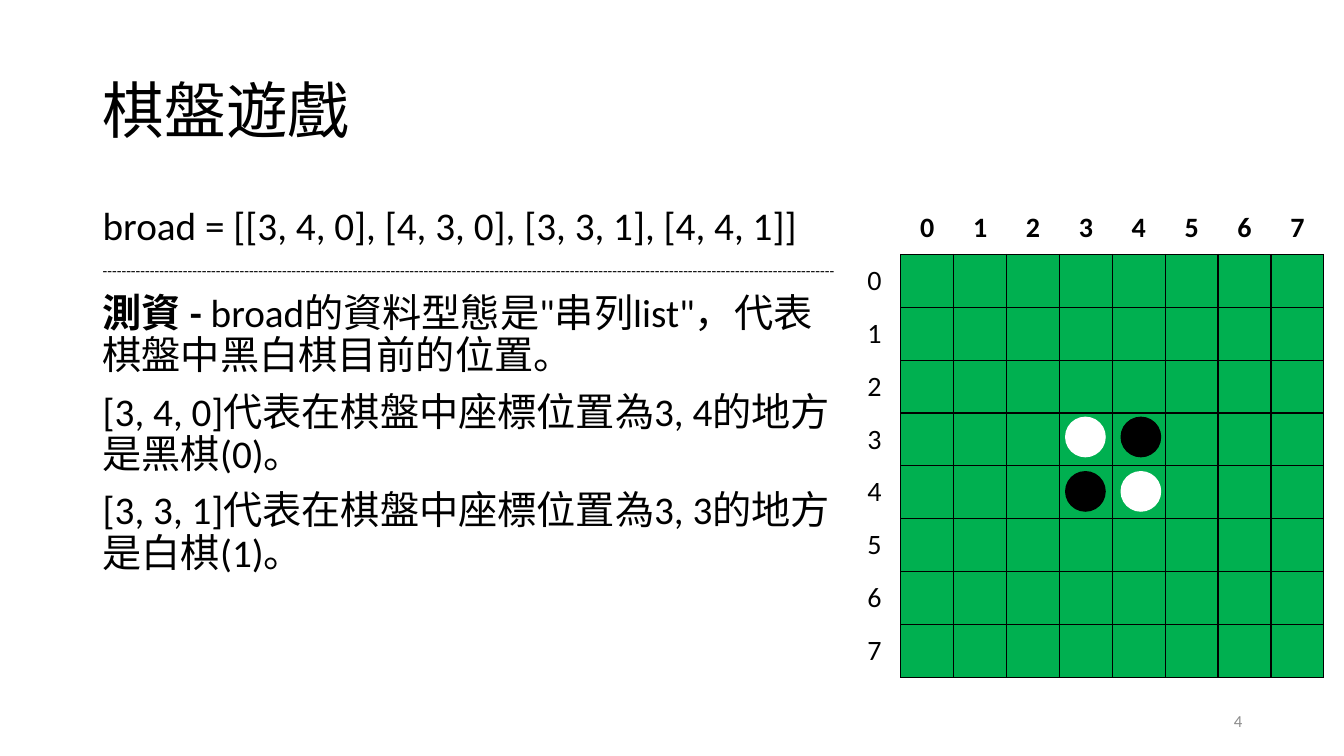
from lxml import etree
from pptx import Presentation
from pptx.dml.color import RGBColor
from pptx.enum import shapes, text
from pptx.oxml import ns
from pptx.util import Inches, Pt

COLORS = {"black": "000000", "white": "FFFFFF", "green": "00B050", "gray": "8C8C8C"}
LEFT, CENTER, RIGHT = text.PP_ALIGN.LEFT, text.PP_ALIGN.CENTER, text.PP_ALIGN.RIGHT
MIDDLE = text.MSO_ANCHOR.MIDDLE


def add_span(para, words, size, color="black", bold=False):
    span = para.add_run()
    span.text = words
    for name, value in {"name": "Calibri", "size": Pt(size), "bold": bold}.items():
        setattr(span.font, name, value)
    span.font.color.rgb = RGBColor.from_string(COLORS[color])


def add_border(cell, sides):
    properties = cell._tc.get_or_add_tcPr()
    for position, side in enumerate(sides):
        line = etree.Element(ns.qn(f"a:ln{side}"), w=str(Pt(1)))
        fill = etree.SubElement(line, ns.qn("a:solidFill"))
        etree.SubElement(fill, ns.qn("a:srgbClr"), val=COLORS["black"])
        properties.insert(position, line)


deck = Presentation()
deck.slide_width, deck.slide_height = Inches(13.33), Inches(7.5)
page = deck.slides.add_slide(deck.slide_layouts[5])

title = page.shapes.title
title_place = {"left": 0.92, "top": 0.4, "width": 11.5, "height": 1.45}
for name, value in title_place.items():
    setattr(title, name, Inches(value))
title.text_frame.vertical_anchor = MIDDLE
title_para = title.text_frame.paragraphs[0]
title_para.alignment, title_para.line_spacing = LEFT, 0.9
add_span(title_para, "棋盤遊戲", 44)

explanation = [
    [("broad = [[3, 4, 0], [4, 3, 0], [3, 3, 1], [4, 4, 1]]", 28, False)],
    [("-" * 155, 11, False)],
    [("測資 - ", 28, True),
     ("broad的資料型態是\"串列list\"，代表棋盤中黑白棋目前的位置。", 28, False)],
    [("[3, 4, 0]代表在棋盤中座標位置為3, 4的地方是黑棋(0)。", 28, False)],
    [("[3, 3, 1]代表在棋盤中座標位置為3, 3的地方是白棋(1)。", 28, False)],
]
body = page.shapes.add_textbox(Inches(0.92), Inches(2), Inches(7.49), Inches(4.76))
body.text_frame.word_wrap = True
for index, spans in enumerate(explanation):
    para = body.text_frame.add_paragraph() if index else body.text_frame.paragraphs[0]
    for name, value in {"line_spacing": 0.9, "space_before": Pt(10)}.items():
        setattr(para, name, value)
    for words, size, bold in spans:
        add_span(para, words, size, bold=bold)

number = page.shapes.add_textbox(Inches(9.42), Inches(6.95), Inches(3), Inches(0.4))
number.text_frame.word_wrap = True
number.text_frame.vertical_anchor = MIDDLE
number.text_frame.paragraphs[0].alignment = RIGHT
add_span(number.text_frame.paragraphs[0], "4", 12, "gray")

board = page.shapes.add_table(
    9, 9, Inches(8.41), Inches(2), Inches(4.72), Inches(4.72)).table
board.first_row = board.horz_banding = False
for row in range(9):
    for column in range(9):
        cell = board.cell(row, column)
        on_board = row > 0 and column > 0
        cell.fill.solid()
        cell.fill.fore_color.rgb = RGBColor.from_string(
            COLORS["green" if on_board else "white"])
        if on_board:
            add_border(cell, "LRTB")
        elif row or column:
            add_border(cell, "R" if row else "B")
            cell.vertical_anchor = MIDDLE
            para = cell.text_frame.paragraphs[0]
            para.alignment = CENTER
            add_span(para, str(row + column - 1), 20, bold=row == 0)

for row in range(2):
    for column in range(2):
        disc = page.shapes.add_shape(
            shapes.MSO_SHAPE.OVAL, Inches(10.57 + 0.55 * column),
            Inches(4.14 + 0.54 * row), Inches(0.39), Inches(0.39))
        disc_color = RGBColor.from_string(COLORS["white" if row == column else "black"])
        disc.shadow.inherit = False
        disc.fill.solid()
        disc.fill.fore_color.rgb = disc_color
        disc.line.color.rgb = disc_color
        disc.line.width = Pt(1)

deck.save("out.pptx")
